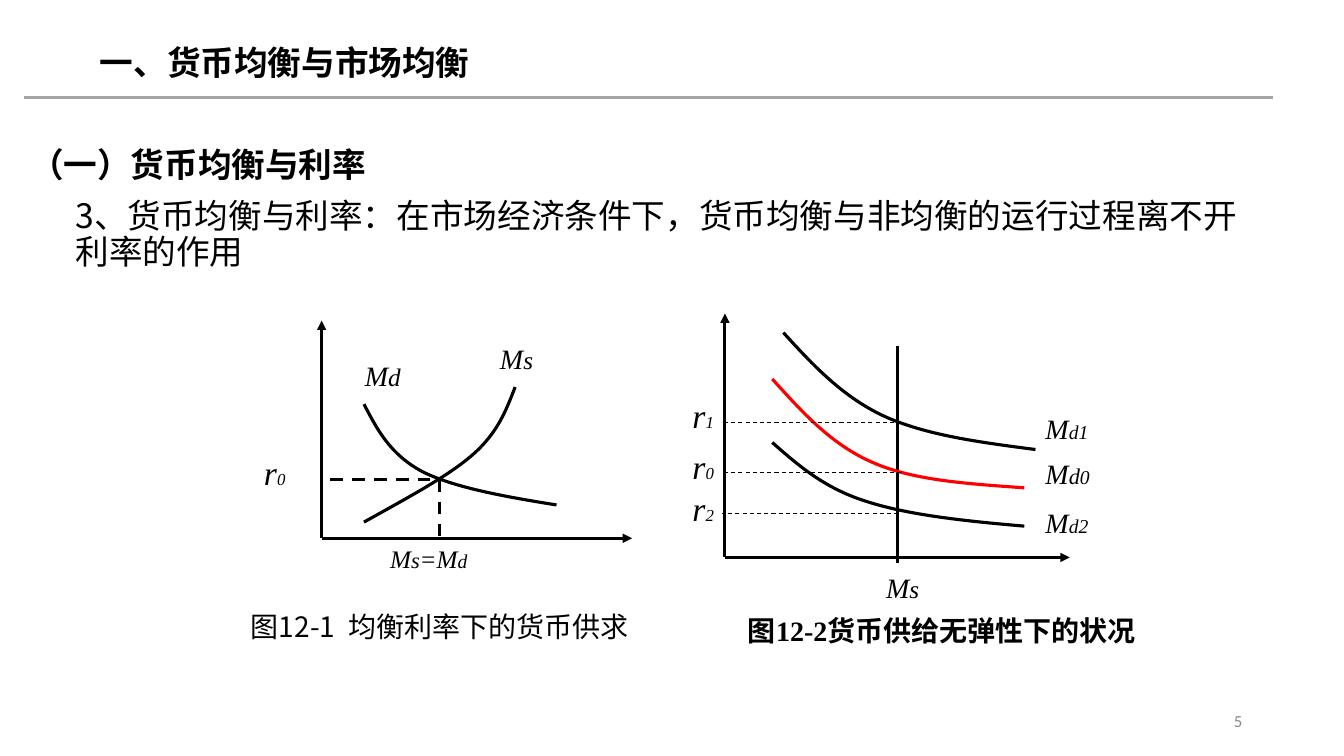
from dataclasses import dataclass

from lxml import etree
from pptx import Presentation
from pptx import util as u
from pptx.dml.color import RGBColor
from pptx.enum import dml, shapes, text
from pptx.oxml.ns import qn

PX = 9144


@dataclass(frozen=True)
class Theme:
    """Colours, fonts, type sizes and line widths of the slide."""
    ink: str = "000000"
    accent: str = "FF0000"
    rule: str = "A6A6A6"
    muted: str = "898989"
    sans: str = "Noto Sans CJK SC"
    serif: str = "Times New Roman"
    number: str = "Calibri"
    heading: int = 24
    caption: int = 20
    label: int = 18
    small: int = 16
    tiny: int = 14
    index: int = 12
    thick: float = 2.25
    thin: float = 0.75


THEME = Theme()


def px(length):
    """Turn a length in px into EMU."""
    return u.Emu(length * PX)


def write(box, spans, font=THEME.sans, color=THEME.ink, bold=False, italic=False,
          align=text.PP_ALIGN.LEFT, anchor=text.MSO_ANCHOR.TOP, spacing=None, wrap=True):
    """Fill a text shape with one paragraph of (words, size) spans."""
    frame = box.text_frame
    frame.word_wrap = wrap
    frame.auto_size = text.MSO_AUTO_SIZE.NONE
    frame.vertical_anchor = anchor
    para = frame.paragraphs[0]
    para.alignment = align
    if spacing:
        para.line_spacing = spacing
    for words, size in spans:
        span = para.add_run()
        span.text = words
        span.font.name = font
        span.font.size = u.Pt(size)
        span.font.bold = bold
        span.font.italic = italic
        span.font.color.rgb = RGBColor.from_string(color)
        east = etree.SubElement(span._r.get_or_add_rPr(), qn("a:ea"))
        east.set("typeface", THEME.sans)


def add_text(page, place, spans, **style):
    """Add a text box at (left, top, width, height)."""
    write(page.shapes.add_textbox(*map(px, place)), spans, **style)


def add_symbol(page, place, *spans):
    """Add an italic variable name with its index."""
    add_text(page, place, spans, font=THEME.serif, italic=True)


def paint(line, color, width):
    """Set the colour and width of a line."""
    line.color.rgb = RGBColor.from_string(color)
    line.width = u.Pt(width)


def add_line(page, start, end, color=THEME.ink, width=THEME.thick, dashed=False, arrow=False):
    """Add a straight line, dashed or with an arrowhead if asked."""
    link = page.shapes.add_connector(
        shapes.MSO_CONNECTOR.STRAIGHT, *map(px, (*start, *end)))
    paint(link.line, color, width)
    if dashed:
        link.line.dash_style = dml.MSO_LINE.DASH
    if arrow:
        etree.SubElement(link.line._get_or_add_ln(), qn("a:tailEnd")).set("type", "triangle")
    etree.SubElement(link._element.spPr, qn("a:effectLst"))


def add_axes(page, origin, right, top):
    """Add a horizontal and a vertical axis that meet at the origin."""
    add_line(page, origin, (right, origin[1]), arrow=True)
    add_line(page, origin, (origin[0], top), arrow=True)


def add_curve(page, points, color=THEME.ink):
    """Add a cubic curve through a start point and triples of control points."""
    builder = page.shapes.build_freeform(*points[0], scale=PX)
    builder.add_line_segments(points[1:], close=False)
    curve = builder.convert_to_shape()
    curve.shadow.inherit = False
    curve.fill.background()
    paint(curve.line, color, THEME.thick)
    steps = list(curve._element.iter(qn("a:lnTo")))
    for first in range(0, len(steps), 3):
        triple = steps[first:first + 3]
        bend = etree.Element(qn("a:cubicBezTo"))
        triple[0].addprevious(bend)
        for step in triple:
            bend.append(step[0])
            step.getparent().remove(step)


def add_headings(page):
    """Add the title, its rule, the subtitle, the statement and the page number."""
    title = page.shapes.title
    title.left, title.top, title.width, title.height = map(px, (89, 37, 667, 50))
    write(title, [("一、货币均衡与市场均衡", THEME.heading)], bold=True)
    add_line(page, (24, 97), (1263, 97), color=THEME.rule)
    add_text(page, (20, 130, 357, 55), [("（一）货币均衡与利率", THEME.heading)],
             bold=True, spacing=1.2, wrap=False)
    statement = "3、货币均衡与利率：在市场经济条件下，货币均衡与非均衡的运行过程离不开利率的作用"
    add_text(page, (65, 193, 1198, 421), [(statement, THEME.heading)], spacing=0.9)
    add_text(page, (942, 695, 300, 40), [("5", THEME.index)], font=THEME.number,
             color=THEME.muted, align=text.PP_ALIGN.RIGHT, anchor=text.MSO_ANCHOR.MIDDLE)


def add_equilibrium_chart(page):
    """Add the chart of money supply and demand at the equilibrium rate."""
    add_axes(page, (319, 534), 627, 318)
    add_curve(page, [(361, 401), (374, 426), (387, 451), (419, 468),
                     (451, 484), (502, 493), (552, 501)])
    add_curve(page, [(511, 384), (502, 407), (494, 429), (469, 451),
                     (444, 473), (402, 495), (361, 518)])
    add_line(page, (427, 476), (319, 476), dashed=True)
    add_line(page, (436, 476), (436, 534), dashed=True)
    add_symbol(page, (252, 443, 50, 50), ("r", THEME.heading), ("0", THEME.index))
    add_symbol(page, (377, 534, 133, 40), ("M", THEME.label), ("s", THEME.small),
               ("=M", THEME.label), ("d", THEME.tiny))
    for index, left, top in (("s", 486, 334), ("d", 352, 351)):
        add_symbol(page, (left, top, 67, 43), ("M", THEME.caption), (index, THEME.label))
    add_text(page, (239, 600, 408, 43), [("图12-1  均衡利率下的货币供求", THEME.caption)])


def add_inelastic_chart(page):
    """Add the chart of three demand curves against a fixed money supply."""
    add_axes(page, (719, 553), 1061, 311)
    add_line(page, (890, 559), (890, 343))
    add_curve(page, [(777, 330), (806, 362), (836, 394), (877, 413),
                     (919, 432), (973, 439), (1027, 446)])
    add_curve(page, [(766, 376), (795, 408), (824, 441), (866, 459),
                     (907, 477), (962, 480), (1016, 484)], color=THEME.accent)
    add_curve(page, [(766, 439), (791, 461), (817, 484), (858, 497),
                     (900, 511), (958, 517), (1016, 522)])
    for index, right, level, top in (("1", 894, 419, 387), ("0", 894, 469, 437),
                                     ("2", 891, 509, 479)):
        add_line(page, (right, level), (right - 175, level), width=THEME.thin, dashed=True)
        add_symbol(page, (677, top, 50, 50), ("r", THEME.heading), (index, THEME.index))
    add_symbol(page, (869, 561, 67, 43), ("M", THEME.caption), ("s", THEME.label))
    for index, size, top in (("1", THEME.tiny, 403), ("0", THEME.small, 448),
                             ("2", THEME.tiny, 497)):
        add_symbol(page, (1027, top, 75, 43), ("M", THEME.caption), ("d", size),
                   (index, THEME.tiny))
    add_text(page, (732, 604, 474, 44), [("图12-2货币供给无弹性下的状况", THEME.caption)],
             font=THEME.serif, bold=True)


def main():
    """Build the slide and save the deck."""
    deck = Presentation()
    deck.slide_width, deck.slide_height = px(1333), px(750)
    page = deck.slides.add_slide(deck.slide_layouts[5])
    add_headings(page)
    add_equilibrium_chart(page)
    add_inelastic_chart(page)
    deck.save("out.pptx")


if __name__ == "__main__":
    main()
